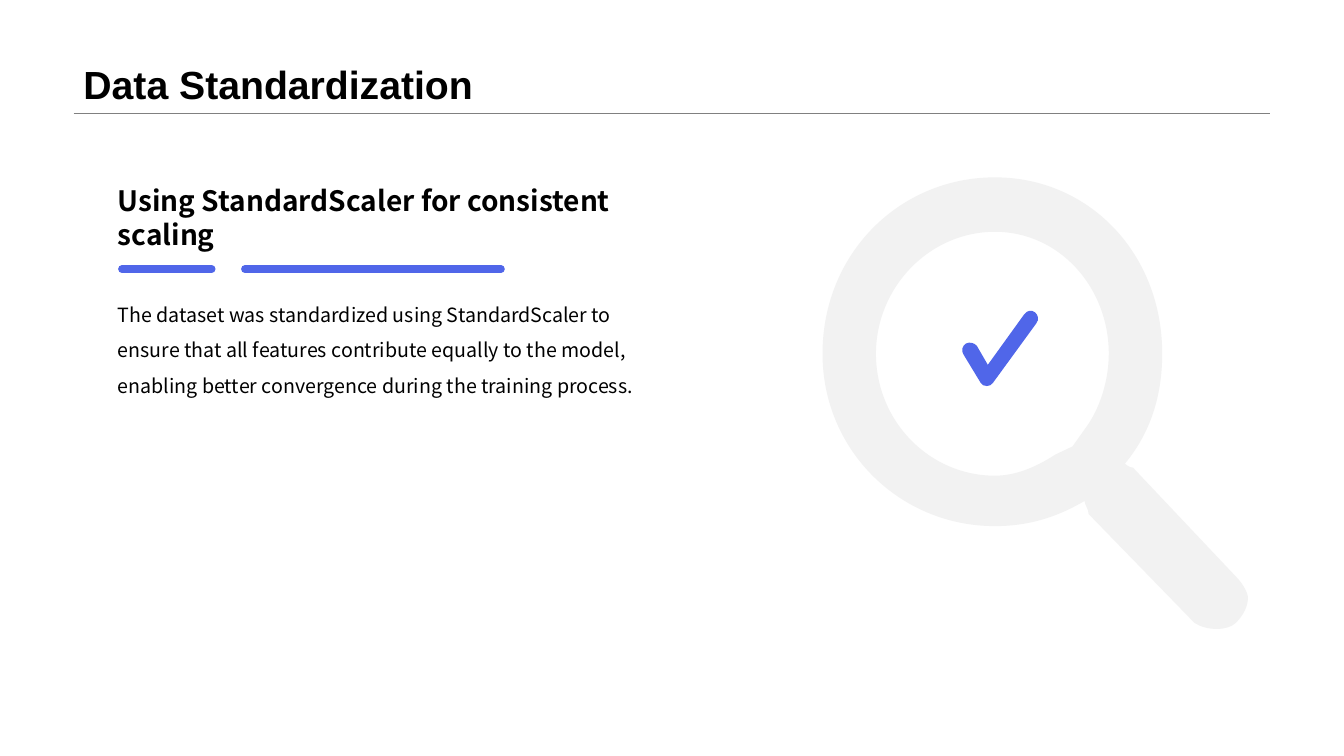
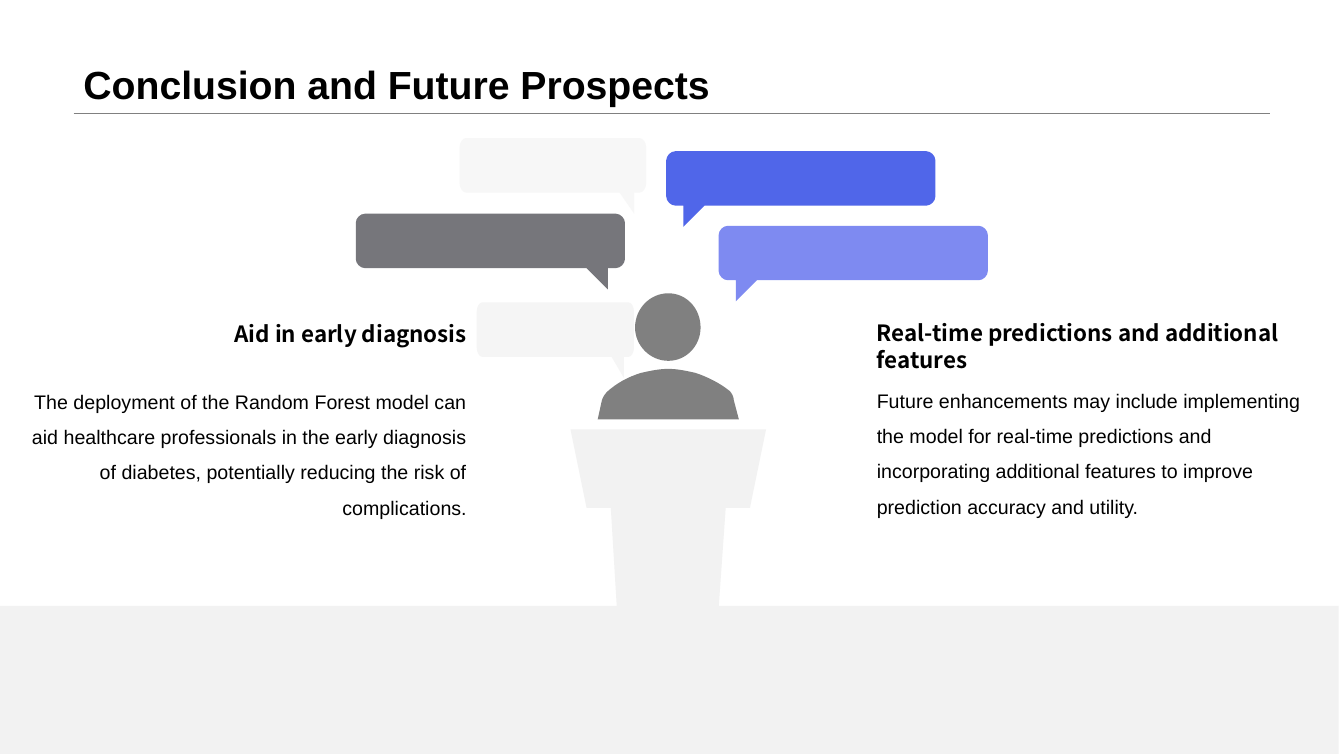
from lxml import etree
from pptx import Presentation
from pptx import util as u
from pptx.dml.color import RGBColor
from pptx.enum import shapes, text
from pptx.oxml import ns

PX = 9144  # EMU in one px, 100 px to the inch
BLACK = RGBColor(0x00, 0x00, 0x00)
GRAY = RGBColor(0x80, 0x80, 0x80)
SLATE = RGBColor(0x76, 0x76, 0x7B)
PALE = RGBColor(0xF2, 0xF2, 0xF2)
BLUE = RGBColor(0x50, 0x66, 0xE9)
LILAC = RGBColor(0x7E, 0x8A, 0xF1)
SANS = "Arial"
NOTO = "Noto Sans CJK SC"

# An outline is a start point, then lines (x, y) and curves (x1, y1, x2, y2, x, y).
LENS_OUTSIDE = [
    (816, 351), (816, 251, 893, 176, 987, 176), (1080, 176, 1153, 251, 1153, 351),
    (1153, 393, 1141, 430, 1116, 460), (1116, 460, 1120, 464, 1124, 464),
    (1226, 572), (1234, 580, 1238, 589, 1238, 593), (1238, 601, 1234, 610, 1226, 618),
    (1218, 626, 1197, 626, 1185, 618), (1080, 510), (1080, 505, 1076, 501, 1076, 497),
    (1047, 514, 1019, 522, 987, 522), (893, 522, 816, 447, 816, 351)]
LENS_HOLE = [
    (869, 351), (869, 418, 922, 472, 987, 472), (1007, 472, 1027, 464, 1047, 451),
    (1064, 443), (1076, 426), (1092, 405, 1100, 376, 1100, 351),
    (1100, 285, 1051, 230, 987, 230), (922, 230, 869, 285, 869, 351)]
CHECK = [
    (979, 383), (976, 383, 974, 382, 973, 380), (956, 352), (953, 348, 955, 343, 958, 341),
    (962, 339, 966, 340, 969, 343), (980, 362), (1016, 312),
    (1019, 308, 1023, 307, 1027, 310), (1030, 313, 1031, 317, 1028, 321),
    (985, 380), (984, 382, 981, 383, 979, 383)]
HEAD = [
    (663, 358), (681, 358, 695, 343, 695, 325), (695, 306, 681, 291, 663, 291),
    (645, 291, 630, 306, 630, 325), (630, 343, 645, 358, 663, 358)]
SHOULDERS = [
    (728, 397), (728, 394, 726, 390, 724, 388), (714, 380, 702, 374, 690, 370),
    (681, 368, 672, 366, 663, 366), (654, 366, 645, 368, 636, 370),
    (623, 374, 612, 380, 602, 389), (600, 391, 598, 394, 597, 398), (593, 416), (733, 416)]
LECTERN = [(566, 426), (760, 426), (744, 504), (720, 504),
           (713, 603), (612, 603), (606, 504), (582, 504)]


def bend(path, outlines):
    """Join the three line points of each curve into one cubic Bézier."""
    lines = iter(path.findall(ns.qn("a:lnTo")))
    for outline in outlines:
        for seg in outline[1:]:
            first = next(lines)
            if len(seg) == 6:
                first.tag = ns.qn("a:cubicBezTo")
                for _ in range(2):
                    extra = next(lines)
                    first.append(extra[0])
                    path.remove(extra)


class Deck:
    def __init__(self):
        self.prs = Presentation()
        self.prs.slide_width, self.prs.slide_height = u.Inches(13.333), u.Inches(7.5)
        self.s = None

    def slide(self, title):
        self.s = self.prs.slides.add_slide(self.prs.slide_layouts[6])
        self.line(73, 1260, 112, GRAY, 0.25)
        self.text(73, 0, 1187, 112, title, 28, bold=True, spacing=0.9, bottom=True, grow=False)

    def text(self, x, y, w, h, words, size, font=SANS, bold=False, spacing=None,
             right=False, bottom=False, grow=True):
        tf = self.s.shapes.add_textbox(x * PX, y * PX, w * PX, h * PX).text_frame
        tf.word_wrap = True
        tf.auto_size = (text.MSO_AUTO_SIZE.SHAPE_TO_FIT_TEXT if grow
                        else text.MSO_AUTO_SIZE.NONE)
        tf.vertical_anchor = text.MSO_ANCHOR.BOTTOM if bottom else text.MSO_ANCHOR.TOP
        p = tf.paragraphs[0]
        p.alignment = text.PP_ALIGN.RIGHT if right else text.PP_ALIGN.LEFT
        p.line_spacing = spacing
        r = p.add_run()
        r.text = words
        r.font.name, r.font.size, r.font.bold = font, u.Pt(size), bold
        r.font.color.rgb = BLACK

    def line(self, x1, x2, y, color, width, rounded=False):
        c = self.s.shapes.add_connector(shapes.MSO_CONNECTOR.STRAIGHT,
                                        x1 * PX, y * PX, x2 * PX, y * PX)
        c.line.color.rgb, c.line.width = color, u.Pt(width)
        sp_pr = c._element.spPr
        if rounded:
            sp_pr.find(ns.qn("a:ln")).set("cap", "rnd")
        etree.SubElement(sp_pr, ns.qn("a:effectLst"))

    def paint(self, sp, color, alpha=100):
        sp.shadow.inherit = False
        sp.fill.solid()
        sp.fill.fore_color.rgb = color
        sp.line.fill.background()
        if alpha < 100:
            clr = sp._element.spPr.find(ns.qn("a:solidFill"))[0]
            etree.SubElement(clr, ns.qn("a:alpha")).set("val", str(alpha * 1000))

    def band(self, x, y, w, h, color):
        self.paint(self.s.shapes.add_shape(shapes.MSO_SHAPE.RECTANGLE,
                                           x * PX, y * PX, w * PX, h * PX), color)

    def free(self, color, *outlines, alpha=100):
        builder = None
        for outline in outlines:
            start, *rest = [(seg[i] * PX, seg[i + 1] * PX)
                            for seg in outline for i in range(0, len(seg), 2)]
            if builder is None:
                builder = self.s.shapes.build_freeform(*start, scale=1.0)
            else:
                builder.move_to(*start)
            builder.add_line_segments(rest, close=True)
        sp = builder.convert_to_shape()
        bend(next(sp._element.iter(ns.qn("a:path"))), outlines)
        self.paint(sp, color, alpha)

    def bubble(self, x, y, w, color, tail_right=False, alpha=100):
        """Speech bubble whose corners and tail stretch with its width."""
        k = w / 267
        h, r, tail = 54, 9, 21

        def px(dx):
            return x + w - dx * k if tail_right else x + dx * k

        def corner(x1, y1, cx, cy, x2, y2):
            return (px((x1 + cx) / 2), y + (y1 + cy) / 2,
                    px((x2 + cx) / 2), y + (y2 + cy) / 2, px(x2), y + y2)

        self.free(color, [
            (px(r), y), (px(267 - r), y), corner(267 - r, 0, 267, 0, 267, r),
            (px(267), y + h - r), corner(267, h - r, 267, h, 267 - r, h),
            (px(38), y + h), (px(17), y + h + tail), (px(17), y + h), (px(r), y + h),
            corner(r, h, 0, h, 0, h - r), (px(0), y + r), corner(0, r, 0, 0, r, 0)],
            alpha=alpha)


def standardization(deck):
    deck.slide("Data Standardization")
    deck.free(PALE, LENS_OUTSIDE, LENS_HOLE)
    deck.free(BLUE, CHECK)
    for x1, x2 in ((121, 210), (243, 497)):
        deck.line(x1, x2, 267, BLUE, 5.5, rounded=True)
    deck.text(107, 284, 570, 147,
              "The dataset was standardized using StandardScaler to ensure that all features "
              "contribute equally to the model, enabling better convergence during the "
              "training process.", 14, NOTO, spacing=1.5)
    deck.text(107, 205, 570, 49, "Using StandardScaler for consistent scaling",
              20, NOTO, bold=True, bottom=True)


def conclusion(deck):
    deck.slide("Conclusion and Future Prospects")
    deck.band(-5, 601, 1333, 147, PALE)
    deck.free(GRAY, HEAD)
    deck.free(PALE, LECTERN)
    deck.free(GRAY, SHOULDERS)
    deck.bubble(353, 212, 267, SLATE, tail_right=True)
    deck.bubble(661, 150, 267, BLUE)
    deck.bubble(713, 224, 267, LILAC)
    deck.bubble(473, 300, 156, PALE, tail_right=True, alpha=75)
    deck.bubble(456, 137, 185, PALE, tail_right=True, alpha=61)
    columns = (
        (20, 313, True, "Aid in early diagnosis",
         "The deployment of the Random Forest model can aid healthcare professionals in the "
         "early diagnosis of diabetes, potentially reducing the risk of complications."),
        (860, 312, False, "Real-time predictions and additional features",
         "Future enhancements may include implementing the model for real-time predictions "
         "and incorporating additional features to improve prediction accuracy and utility."))
    for x, y, right, heading, body in columns:
        deck.text(x, y, 453, 37, heading, 16, NOTO, bold=True, right=right)
        deck.text(x, y + 57, 453, 112, body, 14, spacing=1.5, right=right)


def main():
    deck = Deck()
    standardization(deck)
    conclusion(deck)
    deck.prs.save("out.pptx")


if __name__ == "__main__":
    main()
